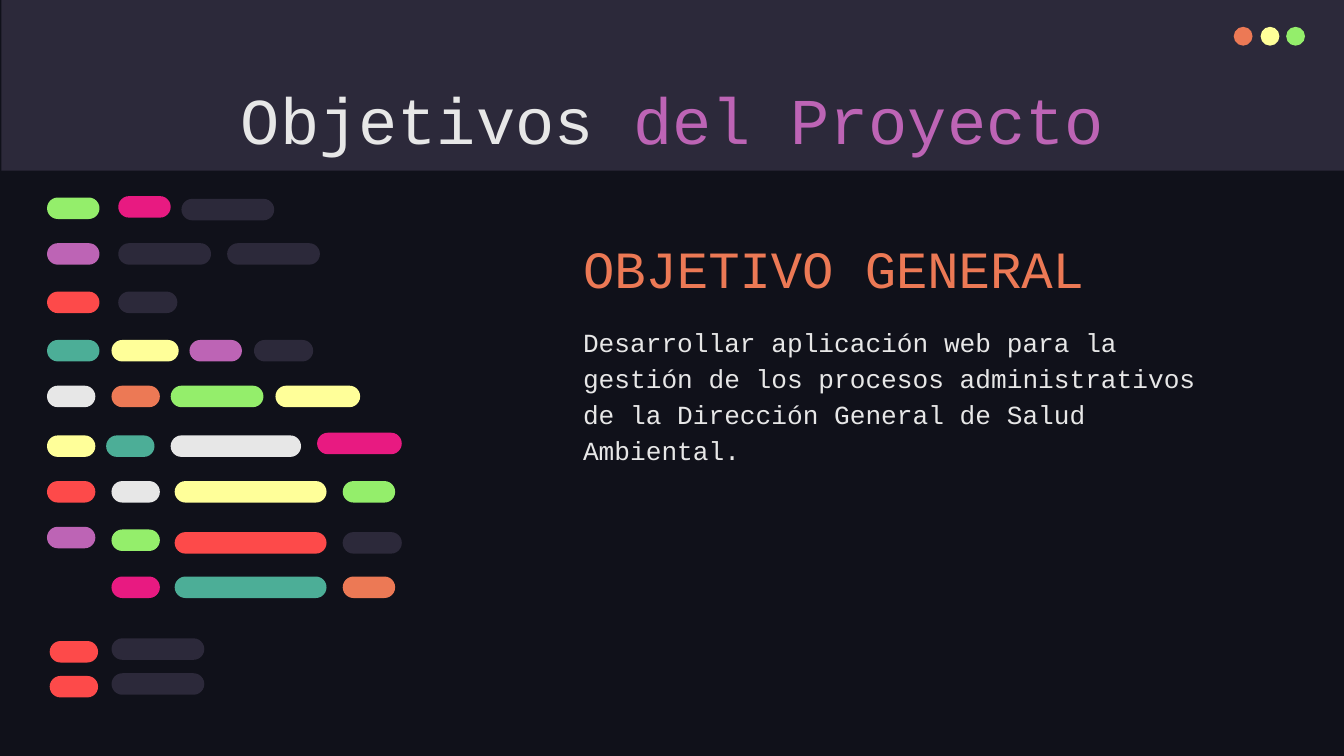
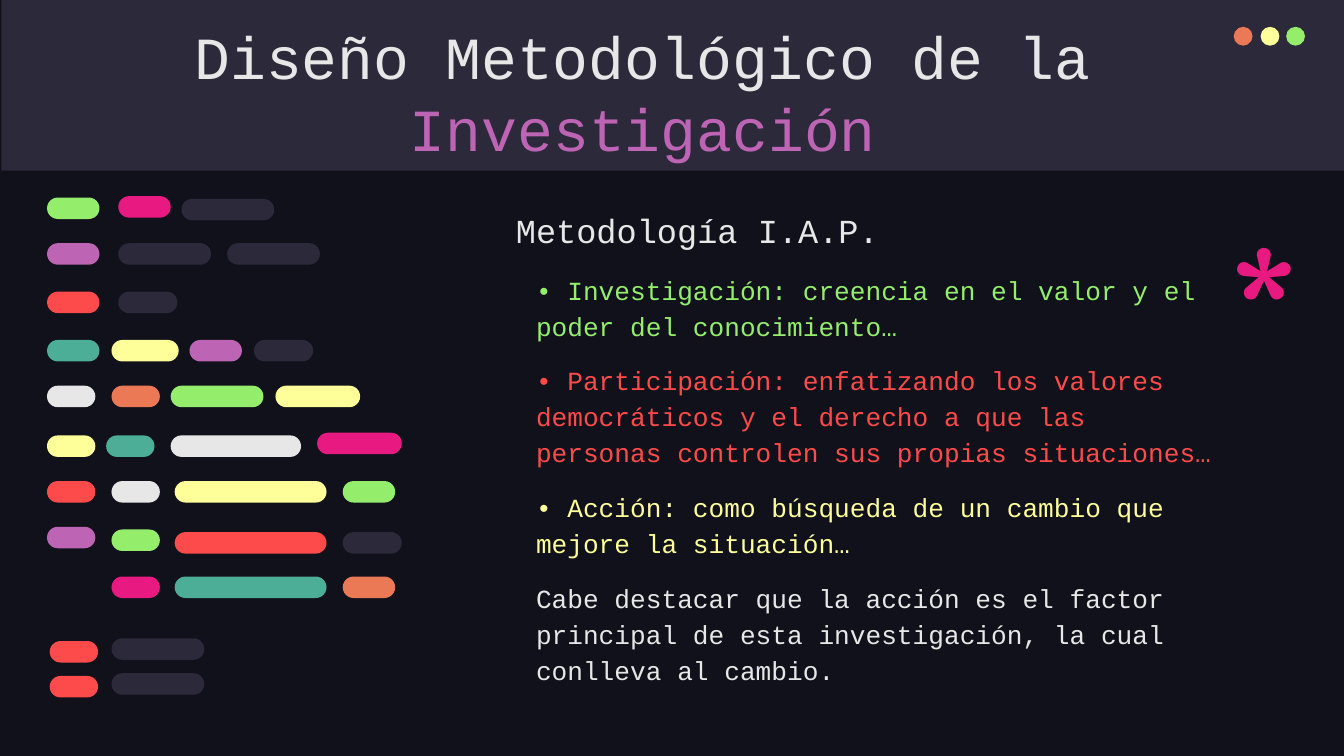
from dataclasses import dataclass, field
from typing import Any

from pptx import Presentation
from pptx.dml.color import RGBColor
from pptx.enum.shapes import MSO_SHAPE
from pptx.enum.text import MSO_ANCHOR, PP_ALIGN
from pptx.util import Inches, Pt


@dataclass(frozen=True)
class Theme:
    night: str = "10111A"
    slate: str = "2C293A"
    white: str = "E7E7E7"
    orange: str = "EC7955"
    yellow: str = "FFFF99"
    green: str = "94EE6B"
    purple: str = "BD64B5"
    pink: str = "E81A81"
    red: str = "FD4A4A"
    teal: str = "4CAE97"
    code_font: str = "Courier New"
    symbol_font: str = "Comfortaa"
    title_size: int = 35
    long_title_size: int = 32
    heading_size: int = 28
    subheading_size: int = 18
    body_size: int = 14
    symbol_size: int = 96
    line_spacing: float = 1.15


THEME = Theme()
PAGE_WIDTH = 10
PAGE_HEIGHT = PAGE_WIDTH * 9 / 16
PILL_HEIGHT = 0.16
DOT_SIZE = 0.14

CODE_PILLS = {
    THEME.green: [(0.35, 1.47, 0.39), (1.27, 2.87, 0.69), (2.55, 3.58, 0.39), (0.83, 3.94, 0.36)],
    THEME.pink: [(0.88, 1.46, 0.39), (2.36, 3.22, 0.63), (0.83, 4.29, 0.36)],
    THEME.purple: [(0.35, 1.81, 0.39), (1.41, 2.53, 0.39), (0.35, 3.92, 0.36)],
    THEME.red: [(0.35, 2.17, 0.39), (0.35, 3.58, 0.36), (1.3, 3.96, 1.13),
                (0.37, 4.77, 0.36), (0.37, 5.03, 0.36)],
    THEME.teal: [(0.35, 2.53, 0.39), (0.79, 3.24, 0.36), (1.3, 4.29, 1.13)],
    THEME.yellow: [(0.83, 2.53, 0.5), (2.05, 2.87, 0.63), (0.35, 3.24, 0.36), (1.3, 3.58, 1.13)],
    THEME.white: [(0.35, 2.87, 0.36), (1.27, 3.24, 0.97), (0.83, 3.58, 0.36)],
    THEME.orange: [(0.83, 2.87, 0.36), (2.55, 4.29, 0.39)],
    THEME.slate: [(1.35, 1.48, 0.69), (0.88, 1.81, 0.69), (1.69, 1.81, 0.69),
                  (0.88, 2.17, 0.44), (1.89, 2.53, 0.44), (2.55, 3.96, 0.44),
                  (0.83, 4.75, 0.69), (0.83, 5.01, 0.69)],
}


@dataclass
class CodeDeck:
    theme: Theme = THEME
    deck: Any = field(default_factory=Presentation)
    page: Any = None

    def set_size(self, width, height):
        self.deck.slide_width = Inches(width)
        self.deck.slide_height = Inches(height)

    def new_page(self):
        self.page = self.deck.slides.add_slide(self.deck.slide_layouts[6])
        background = self.page.background.fill
        background.solid()
        background.fore_color.rgb = RGBColor.from_string(self.theme.night)
        self.shape(self.page.shapes, MSO_SHAPE.RECTANGLE, (0.01, 0, 10, 1.27), self.theme.slate)
        self.window_dots()

    def shape(self, parent, preset, bounds, color):
        shape = parent.add_shape(preset, *map(Inches, bounds))
        shape.shadow.inherit = False
        shape.fill.solid()
        shape.fill.fore_color.rgb = RGBColor.from_string(color)
        shape.line.fill.background()
        return shape

    def window_dots(self):
        dots = self.page.shapes.add_group_shape().shapes
        colors = (self.theme.orange, self.theme.yellow, self.theme.green)
        for left, color in zip((9.18, 9.38, 9.57), colors):
            self.shape(dots, MSO_SHAPE.OVAL, (left, 0.2, DOT_SIZE, DOT_SIZE), color)

    def code_pills(self):
        pills = self.page.shapes.add_group_shape().shapes
        for color, places in CODE_PILLS.items():
            for left, top, width in places:
                bounds = (left, top, width, PILL_HEIGHT)
                pill = self.shape(pills, MSO_SHAPE.ROUNDED_RECTANGLE, bounds, color)
                pill.adjustments[0] = 0.5

    def text_box(self, bounds):
        box = self.page.shapes.add_textbox(*map(Inches, bounds))
        frame = box.text_frame
        frame.word_wrap = True
        frame.vertical_anchor = MSO_ANCHOR.TOP
        frame.margin_left = frame.margin_right = Inches(0.1)
        frame.margin_top = frame.margin_bottom = Inches(0.1)
        return frame

    def span(self, para, text, size, color, font=THEME.code_font):
        span = para.add_run()
        span.text = text
        span.font.name = font
        span.font.size = Pt(size)
        span.font.color.rgb = RGBColor.from_string(color)

    def title(self, bounds, size, plain, accent):
        para = self.text_box(bounds).paragraphs[0]
        para.alignment = PP_ALIGN.CENTER
        self.span(para, plain, size, self.theme.white)
        self.span(para, accent, size, self.theme.purple)

    def body(self, bounds, lines):
        frame = self.text_box(bounds)
        for index, (text, size, color, indent, space) in enumerate(lines):
            para = frame.add_paragraph() if index else frame.paragraphs[0]
            para.line_spacing = self.theme.line_spacing
            para.space_before = Pt(space)
            if indent:
                properties = para._p.get_or_add_pPr()
                properties.set("marL", str(Inches(indent)))
                properties.set("indent", "0")
            self.span(para, text, size, color)

    def symbol(self, bounds, text, color):
        para = self.text_box(bounds).paragraphs[0]
        self.span(para, text, self.theme.symbol_size, color, self.theme.symbol_font)


def objectives(code):
    theme = code.theme
    code.new_page()
    code.title((0.79, 0.49, 8.43, 0.63), theme.title_size, "Objetivos ", "del Proyecto")
    code.code_pills()
    code.body((3.74, 1.59, 5.43, 3.36), [
        ("OBJETIVO GENERAL", theme.heading_size, theme.orange, 0.5, 12),
        ("Desarrollar aplicación web para la gestión de los procesos administrativos "
         "de la Dirección General de Salud Ambiental.",
         theme.body_size, theme.white, 0.5, 12),
    ])


def methodology(code):
    theme = code.theme
    principles = [
        ("• Investigación: creencia en el valor y el poder del conocimiento…", theme.green),
        ("• Participación: enfatizando los valores democráticos y el derecho a que "
         "las personas controlen sus propias situaciones…", theme.red),
        ("• Acción: como búsqueda de un cambio que mejore la situación…", theme.yellow),
        ("Cabe destacar que la acción es el factor principal de esta investigación, "
         "la cual conlleva al cambio.", theme.white),
    ]
    code.new_page()
    code.title((0.23, 0.05, 9.11, 1.26), theme.long_title_size,
               "Diseño Metodológico de la ", "Investigación")
    code.body((3.74, 1.42, 5.43, 3.97), [
        ("Metodología I.A.P.", theme.subheading_size, theme.white, 0, 0),
        *((text, theme.body_size, color, 0.15, 10) for text, color in principles),
    ])
    code.code_pills()
    code.symbol((9.05, 1.46, 0.57, 0.87), "*", theme.pink)


def main():
    code = CodeDeck()
    code.set_size(PAGE_WIDTH, PAGE_HEIGHT)
    objectives(code)
    methodology(code)
    code.deck.save("out.pptx")


if __name__ == "__main__":
    main()
